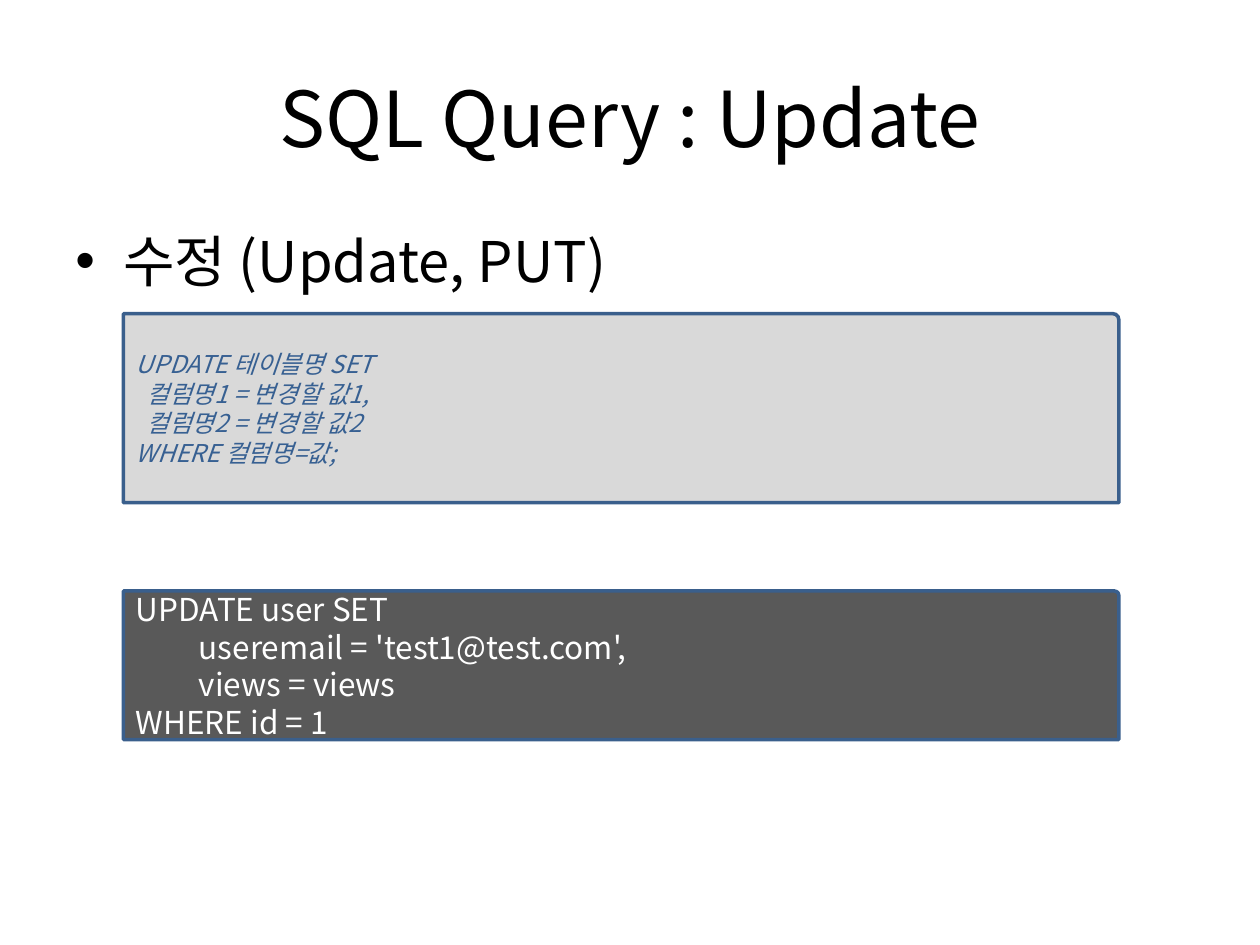
from lxml.etree import SubElement
from pptx import Presentation
from pptx.dml.color import RGBColor
from pptx.enum.shapes import MSO_SHAPE
from pptx.enum.text import MSO_ANCHOR, PP_ALIGN
from pptx.oxml.ns import qn
from pptx.util import Inches, Pt

FONT = "Noto Sans CJK KR"
LINE_HEIGHT = 1.2
COLORS = {
    "text": "000000",
    "syntax_text": "376092",
    "syntax_fill": "D9D9D9",
    "example_text": "FFFFFF",
    "example_fill": "595959",
    "border": "3A5F8C",
}


def color(name):
    return RGBColor.from_string(COLORS[name])


def format_paragraph(paragraph, size, color_name, alignment=PP_ALIGN.LEFT, italic=False):
    paragraph.alignment = alignment
    paragraph.line_spacing = Pt(round(size * LINE_HEIGHT, 1))
    paragraph.space_before = Pt(0)
    font = paragraph.font
    font.name = FONT
    font.size = Pt(size)
    font.italic = italic
    font.color.rgb = color(color_name)
    # Korean letters take the East Asian typeface
    defaults = paragraph._p.pPr.find(qn("a:defRPr"))
    SubElement(defaults, qn("a:ea")).set("typeface", FONT)


def add_title(slide, text, left, top, width, height):
    title = slide.shapes.title
    title.left, title.top, title.width, title.height = left, top, width, height
    frame = title.text_frame
    frame.text = text
    frame.vertical_anchor = MSO_ANCHOR.MIDDLE
    format_paragraph(frame.paragraphs[0], 44, "text", PP_ALIGN.CENTER)


def add_bullet(slide, text, left, top, width, height):
    frame = slide.shapes.add_textbox(left, top, width, height).text_frame
    frame.word_wrap = True
    frame.text = text
    paragraph = frame.paragraphs[0]
    properties = paragraph._p.get_or_add_pPr()
    indent = Inches(0.38)
    properties.set("marL", str(indent))
    properties.set("indent", str(-indent))
    SubElement(properties, qn("a:buFont")).set("typeface", "Arial")
    SubElement(properties, qn("a:buChar")).set("char", "•")
    format_paragraph(paragraph, 32, "text")


def add_code_box(slide, lines, style, size, italic, left, top, width, height):
    """Draw a bordered box with one paragraph for each line of code."""
    box = slide.shapes.add_shape(MSO_SHAPE.ROUND_1_RECTANGLE, left, top, width, height)
    box.adjustments[0] = 0.03
    box.shadow.inherit = False
    box.fill.solid()
    box.fill.fore_color.rgb = color(f"{style}_fill")
    box.line.color.rgb = color("border")
    box.line.width = Pt(2)
    frame = box.text_frame
    frame.word_wrap = True
    frame.vertical_anchor = MSO_ANCHOR.MIDDLE
    frame.text = "\n".join(lines)
    for paragraph in frame.paragraphs:
        format_paragraph(paragraph, size, f"{style}_text", italic=italic)


def main():
    presentation = Presentation()
    presentation.slide_width = Inches(10)
    presentation.slide_height = Inches(7.5)
    slide = presentation.slides.add_slide(presentation.slide_layouts[5])

    margin, content_width = Inches(0.5), Inches(9)
    add_title(slide, "SQL Query : Update", margin, Inches(0.3), content_width, Inches(1.25))
    add_bullet(slide, "수정 (Update, PUT)", margin, Inches(1.75), content_width, Inches(4.95))

    code_left, code_width = Inches(0.98), Inches(7.9)
    syntax = ["UPDATE 테이블명 SET", "  컬럼명1 = 변경할 값1,", "  컬럼명2 = 변경할 값2", "WHERE 컬럼명=값;"]
    example = ["UPDATE user SET", "\tuseremail = 'test1@test.com',", "\tviews = views", "WHERE id = 1"]
    add_code_box(slide, syntax, "syntax", 14, True,
                 code_left, Inches(2.49), code_width, Inches(1.5))
    add_code_box(slide, example, "example", 18, False,
                 code_left, Inches(4.69), code_width, Inches(1.18))

    presentation.save("out.pptx")


if __name__ == "__main__":
    main()
